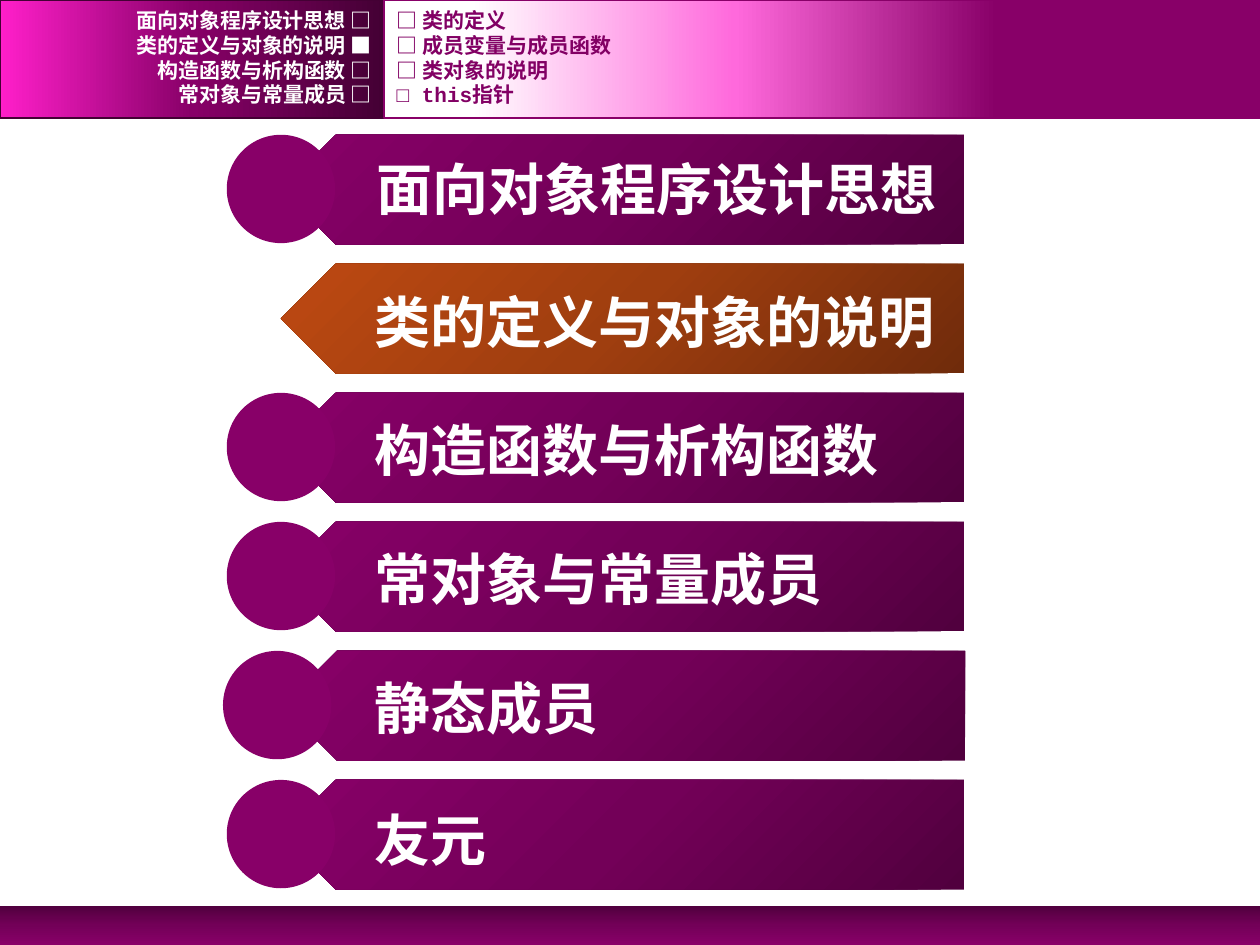
import pptx
import pptx.util
import pptx.dml.color
import pptx.enum.shapes
import pptx.enum.text
import pptx.oxml
import pptx.oxml.ns

presentation = pptx.Presentation()
presentation.slide_width = pptx.util.Inches(10)
presentation.slide_height = pptx.util.Inches(7.5)
slide = presentation.slides.add_slide(presentation.slide_layouts[6])
column = presentation.slide_width / 100
row = presentation.slide_height / 75
presets = pptx.enum.shapes.MSO_SHAPE
alignments = pptx.enum.text.PP_ALIGN


def add_shape(preset, left, top, width, height, colors, positions=(0, 50, 100), angle=0, outline=None):
    shape = slide.shapes.add_shape(
        preset, int(left * column), int(top * row), int(width * column), int(height * row))
    if len(colors) == 1:
        shape.fill.solid()
        shape.fill.fore_color.rgb = pptx.dml.color.RGBColor.from_string(colors[0])
    else:
        stops = "".join(
            f'<a:gs pos="{position * 1000}"><a:srgbClr val="{color}"/></a:gs>'
            for position, color in zip(positions, colors))
        gradient = pptx.oxml.parse_xml(
            f'<a:gradFill {pptx.oxml.ns.nsdecls("a")} rotWithShape="1"><a:gsLst>{stops}</a:gsLst>'
            f'<a:lin ang="{angle * 60000}" scaled="0"/></a:gradFill>')
        shape._element.spPr.find(pptx.oxml.ns.qn("a:prstGeom")).addnext(gradient)
    if outline:
        shape.line.color.rgb = pptx.dml.color.RGBColor.from_string(outline)
        shape.line.width = pptx.util.Pt(1)
    else:
        shape.line.fill.background()
    shape.shadow.inherit = False
    return shape


def add_text(text, left, top, width, height, size=12, color="FFFFFF",
             align=alignments.LEFT, anchor=pptx.enum.text.MSO_ANCHOR.MIDDLE):
    box = slide.shapes.add_textbox(
        int(left * column), int(top * row), int(width * column), int(height * row))
    frame = box.text_frame
    frame.word_wrap = True
    frame.vertical_anchor = anchor
    paragraph = frame.paragraphs[0]
    paragraph.alignment = align
    run = paragraph.add_run()
    run.text = text
    run.font.size = pptx.util.Pt(size)
    run.font.bold = True
    run.font.name = "Courier New"
    run.font.color.rgb = pptx.dml.color.RGBColor.from_string(color)
    run.font._element.set("lang", "zh-CN")


purple = ["51003E", "730058", "880068"]
orange = ["702B0B", "9F3E0F", "BD4912"]

add_shape(presets.RECTANGLE, 0, 71.9, 100, 3.1, purple, angle=90)
add_shape(presets.RECTANGLE, 0, 0, 30.5, 9.4, ["440034", "880068", "FF1FCA"],
          angle=180, outline="440034")
add_shape(presets.RECTANGLE, 30.5, 0, 69.5, 9.4, ["880068", "FF69DC", "FFFFFF"],
          positions=(30, 60, 90), angle=180, outline="880068")

chapters = [
    ("面向对象程序设计思想", 22.3, 18, 28.9, 11.8),
    ("类的定义与对象的说明", 22.3, None, 28.7, 22.3),
    ("构造函数与析构函数", 22.3, 18, 28.7, 32.5),
    ("常对象与常量成员", 22.3, 18, 28.7, 42.7),
    ("静态成员", 22.4, 17.7, 28.7, 53),
    ("友元", 22.3, 18, 28.7, 63.4),
]
for index, (title, plate_left, circle_left, text_left, text_top) in enumerate(chapters):
    top = 10.7 + 10.24 * index
    current = circle_left is None
    plate = add_shape(presets.PENTAGON, plate_left, top, 54.2, 8.7,
                      orange if current else purple, angle=315)
    plate._element.spPr.xfrm.set("flipH", "1")
    if not current:
        add_shape(presets.OVAL, circle_left, top, 8.6, 8.6, ["880068"])
    add_text(title, text_left, text_top, 47.2, 6.4, size=32,
             anchor=pptx.enum.text.MSO_ANCHOR.TOP)

sections = ["面向对象程序设计思想 □", "类的定义与对象的说明 ■", "构造函数与析构函数 □", "常对象与常量成员 □"]
topics = ["□ 类的定义", "□ 成员变量与成员函数", "□ 类对象的说明", "□ this指针"]
for index, (section, topic) in enumerate(zip(sections, topics)):
    top = 0.6 + 1.97 * index
    add_text(section, 0, top, 30.5, 2, align=alignments.RIGHT)
    add_text(topic, 30.5, top, 60.2, 2, color="820064")

presentation.save("out.pptx")
